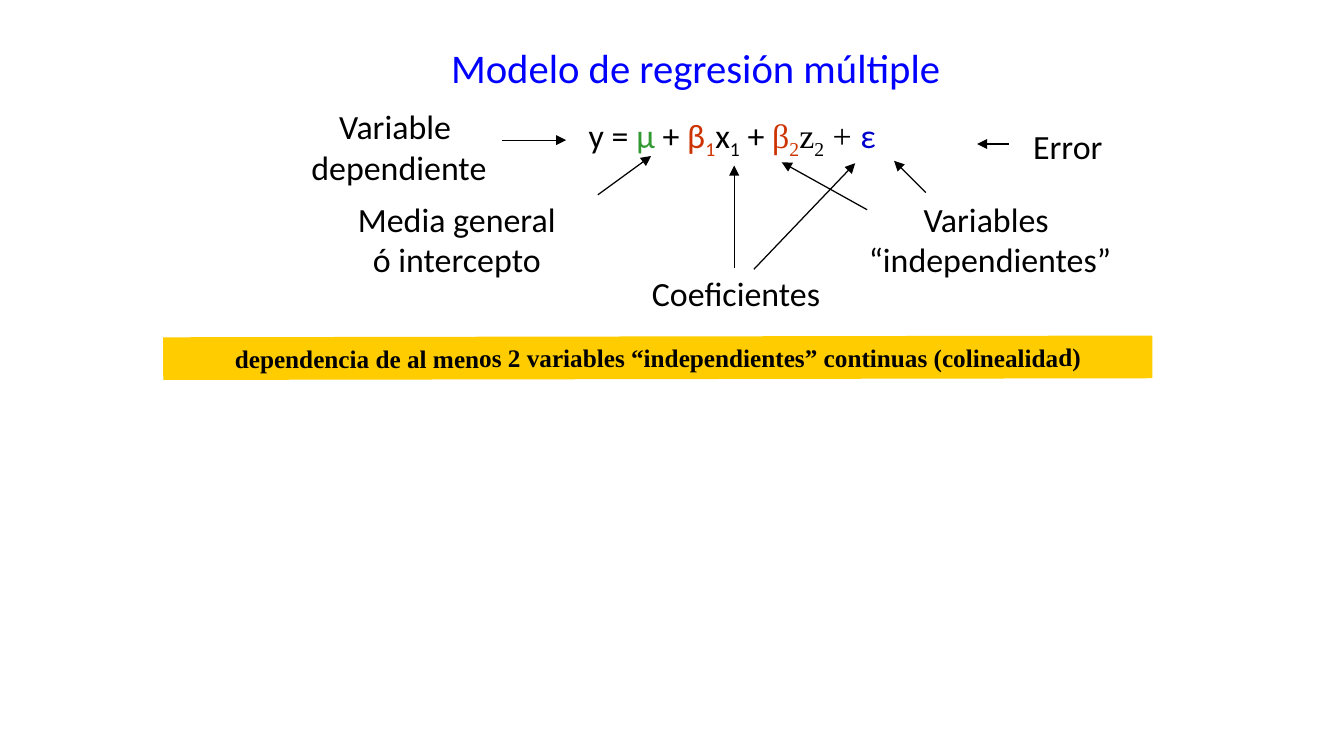
from dataclasses import dataclass

from lxml.etree import SubElement
from pptx import Presentation
from pptx.dml.color import RGBColor
from pptx.enum.shapes import MSO_CONNECTOR as Connector, MSO_SHAPE as Shape
from pptx.enum.text import MSO_ANCHOR as Anchor, PP_ALIGN as Align
from pptx.oxml.ns import qn
from pptx.util import Cm, Pt


@dataclass(frozen=True)
class Theme:
    sans: str = "Calibri"
    serif: str = "Times New Roman"
    title_size: float = 24
    body_size: float = 20
    banner_size: float = 14.9
    line_width: float = 0.75
    black: str = "000000"
    title: str = "0000FF"
    mean: str = "339933"
    coefficient: str = "CC3300"
    error: str = "0000CC"
    banner: str = "FFCC00"


THEME = Theme()

# Text, left, top, width, height (cm)
LABELS = [
    ("Variable\n dependiente", 6.07, 2.08, 4.32, 1.96),
    ("Variables\n “independientes”", 17.68, 4.01, 5.72, 1.96),
    ("Media general\nó intercepto", 7.19, 4.01, 4.65, 1.96),
    ("Coeficientes", 13.31, 5.56, 4.04, 1.12),
    ("Error", 21.26, 2.49, 1.96, 1.12),
]

# Start x, y and end x, y (cm)
ARROWS = [
    (10.46, 2.92, 11.79, 2.92),
    (12.45, 4.06, 13.56, 3.25),
    (15.29, 5.59, 15.29, 3.45),
    (18.06, 4.37, 16.28, 3.38),
    (21.01, 3, 20.35, 3),
    (19.28, 4.01, 18.62, 3.35),
    (15.7, 5.61, 17.81, 3.4),
]

# Text, colour, font, subscript
EQUATION = [
    ("y = ", THEME.black, THEME.sans, False),
    ("µ", THEME.mean, THEME.sans, False),
    (" + ", THEME.black, THEME.sans, False),
    ("β", THEME.coefficient, THEME.sans, False),
    ("1", THEME.coefficient, THEME.sans, True),
    ("x", THEME.black, THEME.sans, False),
    ("1", THEME.black, THEME.sans, True),
    (" + ", THEME.black, THEME.sans, False),
    ("β", THEME.coefficient, THEME.serif, False),
    ("2", THEME.coefficient, THEME.serif, True),
    ("z", THEME.black, THEME.serif, False),
    ("2", THEME.black, THEME.serif, True),
    (" + ", THEME.black, THEME.serif, False),
    ("ε", THEME.error, THEME.sans, False),
]


def add_text(para, text, size=THEME.body_size, font=THEME.sans,
             color=THEME.black, bold=False, subscript=False):
    span = para.add_run()
    span.text = text
    span.font.size = Pt(size)
    span.font.name = font
    span.font.bold = bold
    span.font.color.rgb = RGBColor.from_string(color)
    if subscript:
        span.font._element.set("baseline", "-25000")


def set_frame(box, wrap=False, anchor=Anchor.TOP):
    frame = box.text_frame
    frame.word_wrap = wrap
    frame.vertical_anchor = anchor
    return frame


def add_title(page, text):
    box = page.shapes.title
    box.left, box.top, box.width, box.height = Cm(9.14), Cm(0.76), Cm(10.72), Cm(1.27)
    para = set_frame(box).paragraphs[0]
    para.alignment = Align.LEFT
    add_text(para, text, size=THEME.title_size, color=THEME.title)


def add_label(page, text, *place):
    frame = set_frame(page.shapes.add_textbox(*map(Cm, place)))
    for number, line in enumerate(text.split("\n")):
        para = frame.add_paragraph() if number else frame.paragraphs[0]
        para.alignment = Align.CENTER
        add_text(para, line)


def add_equation(page):
    box = page.shapes.add_textbox(Cm(12.01), Cm(2.26), Cm(8.81), Cm(1.22))
    para = set_frame(box, wrap=True).paragraphs[0]
    for text, color, font, subscript in EQUATION:
        add_text(para, text, color=color, font=font, subscript=subscript)


def add_arrow(page, *ends):
    arrow = page.shapes.add_connector(Connector.STRAIGHT, *map(Cm, ends))
    arrow.line.width = Pt(THEME.line_width)
    arrow.line.color.rgb = RGBColor.from_string(THEME.black)
    SubElement(arrow.line._get_or_add_ln(), qn("a:tailEnd"), type="triangle")
    SubElement(arrow._element.spPr, qn("a:effectLst"))


def add_banner(page, text):
    box = page.shapes.add_shape(Shape.RECTANGLE, Cm(3.4), Cm(7.01), Cm(20.6), Cm(0.89))
    box.rotation = 359.9
    box.shadow.inherit = False
    box.fill.solid()
    box.fill.fore_color.rgb = RGBColor.from_string(THEME.banner)
    box.line.fill.background()
    para = set_frame(box, wrap=True).paragraphs[0]
    para.alignment = Align.CENTER
    add_text(para, text, size=THEME.banner_size, font=THEME.serif, bold=True)


def main():
    deck = Presentation()
    deck.slide_width, deck.slide_height = Cm(27.99), Cm(15.75)
    page = deck.slides.add_slide(deck.slide_layouts.get_by_name("Title Only"))

    # Title and model
    add_title(page, "Modelo de regresión múltiple")
    add_equation(page)

    # Names of the terms, with arrows
    for label in LABELS:
        add_label(page, *label)
    for arrow in ARROWS:
        add_arrow(page, *arrow)

    # Warning on collinearity
    add_banner(page, "dependencia de al menos 2 variables “independientes” "
                     "continuas (colinealidad)")

    deck.save("out.pptx")


if __name__ == "__main__":
    main()
